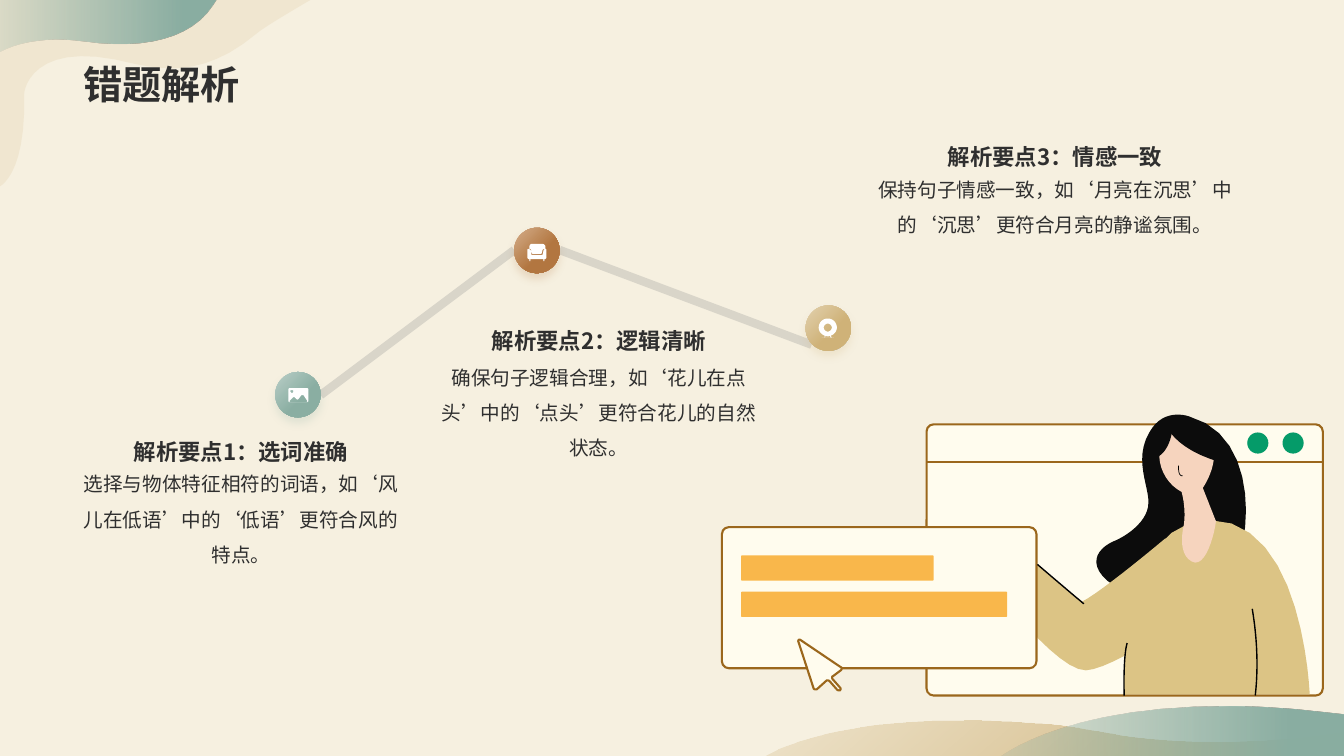
"""Build the slide on wrong-answer analysis: three linked points and an illustration."""
from lxml.etree import SubElement
from pptx import Presentation
from pptx.dml.color import RGBColor
from pptx.enum.shapes import MSO_CONNECTOR, MSO_SHAPE
from pptx.enum.text import MSO_ANCHOR, MSO_AUTO_SIZE, PP_ALIGN
from pptx.oxml.ns import qn
from pptx.util import Inches, Pt

COLORS = {
    "paper": "F6F0E0", "text": "2F2F2F", "white": "FFFFFF", "link": "979797",
    "sage": "8AAEA2", "sage light": "B9CEC7", "copper": "B27640", "copper light": "D4AD89",
    "sand": "CFB278", "sand light": "E2D1AE", "window": "FFFCEE", "frame": "9B671C",
    "button": "059B69", "hair": "0C0C0C", "sweater": "DCC485", "skin": "F6D4BE",
    "ink": "000000", "bar": "F9B74B",
}
FONT = "Noto Sans CJK SC"
COLUMNS, CURVE_STEPS = 1333, 12

presentation = Presentation()
presentation.slide_width, presentation.slide_height = Inches(13.33), Inches(7.5)
cell = presentation.slide_width // COLUMNS
slide = presentation.slides.add_slide(presentation.slide_layouts[6])
slide.background.fill.solid()
slide.background.fill.fore_color.rgb = RGBColor.from_string(COLORS["paper"])


def trace(*contours, closed=True):
    """Make a freeform; two-number steps are corners and six-number steps are curves."""
    builder = None
    for contour in contours:
        points = [contour[0]]
        for step in contour[1:]:
            if len(step) == 2:
                points.append(step)
                continue
            knots = [points[-1], step[:2], step[2:4], step[4:]]
            for t in (index / CURVE_STEPS for index in range(1, CURVE_STEPS + 1)):
                weights = ((1 - t) ** 3, 3 * t * (1 - t) ** 2, 3 * t * t * (1 - t), t ** 3)
                points.append(tuple(sum(w * knot[axis] for w, knot in zip(weights, knots))
                                    for axis in (0, 1)))
        (x, y), *rest = [(x * cell, y * cell) for x, y in points]
        if builder is None:
            builder = slide.shapes.build_freeform(x, y)
        else:
            builder.move_to(x, y)
        builder.add_line_segments(rest, close=closed)
    return builder.convert_to_shape()


def paint(shape, fill=None, line=None, weight=1, alpha=100, gradient=None):
    """Colour a shape; gradient holds the end colour, its position and the angle."""
    if gradient:
        end, position, angle = gradient
        shape.fill.gradient()
        shape.fill.gradient_angle = -angle % 360
        for stop, color, place in zip(shape.fill.gradient_stops, (fill, end), (0, position)):
            stop.color.rgb, stop.position = RGBColor.from_string(COLORS[color]), place
    elif fill:
        shape.fill.solid()
        shape.fill.fore_color.rgb = RGBColor.from_string(COLORS[fill])
    elif hasattr(shape, "fill"):
        shape.fill.background()
    if line:
        shape.line.color.rgb = RGBColor.from_string(COLORS[line])
        shape.line.width = Pt(weight)
    else:
        shape.line.fill.background()
    if alpha < 100:
        first_color = next(shape.element.iter(qn("a:srgbClr")))
        SubElement(first_color, qn("a:alpha"), val=str(alpha * 1000))
    return SubElement(shape.element.spPr, qn("a:effectLst"))


paint(trace([(956, 715), (989, 715, 1038, 717, 1070, 722), (1103, 727, 1179, 746, 1319, 728),
             (1333, 726), (1333, 750), (757, 750), (765, 745, 823, 714, 956, 715)]),
      "sand", alpha=20, gradient=("sand", 1, 50))
paint(trace([(1219, 701), (1247, 701, 1279, 703, 1313, 707), (1333, 709), (1333, 750),
             (993, 750), (1003, 743, 1068, 700, 1219, 701)]),
      "sage", alpha=20, gradient=("sage", 0.85, 0))
paint(trace([(-2, 186), (-2, 186, 26, 177, 24, 94), (24, 85, 36, 44, 114, 59),
             (157, 69, 199, 80, 255, 33), (263, 26, 308, 0, 308, 0), (0, 0)]),
      "sand", alpha=15)
paint(trace([(-1, 0), (215, 0), (211, 6), (190, 38, 143, 49, 85, 41),
             (42, 35, 14, 44, 1, 51), (-1, 52)]),
      "sage", alpha=20, gradient=("sage", 0.85, 0))

for ends in ((805, 342, 555, 248), (510, 248, 318, 392)):
    link = slide.shapes.add_connector(MSO_CONNECTOR.STRAIGHT, *[end * cell for end in ends])
    paint(link, line="link", weight=6, alpha=30)

image_icon = [
    [(287, 385), (305, 385), (306, 386), (306, 398), (305, 399), (287, 399), (286, 398), (286, 386)],
    [(300, 392), (299, 392), (296, 396), (295, 396.5), (294, 396), (292, 394), (291, 394),
     (287, 398), (288, 399), (304, 399), (305, 398), (301, 392)],
    [(290, 387), (289, 387, 288, 387, 288, 388), (288, 389, 289, 390, 290, 390),
     (290, 390, 291, 389, 291, 388), (291, 387, 290, 387, 290, 387)],
]
sofa_icon = [
    [(541, 247), (542, 247, 542, 248, 542, 249), (542, 256), (542, 256, 541, 257, 541, 257),
     (540, 257), (540, 259), (539, 259), (539, 257), (526, 257), (526, 259), (525, 259),
     (525, 257), (524, 257), (524, 257, 523, 256, 523, 256), (523, 249),
     (523, 248, 523, 247, 524, 247), (525, 247, 526, 248, 527, 249), (527, 253), (538, 253),
     (539, 249), (539, 248, 540, 247, 541, 247)],
    [(538, 242), (540, 242, 541, 244, 541, 245), (541, 247), (539, 247, 538, 247, 538, 249),
     (537, 252), (528, 252), (527, 249), (527, 247, 526, 247, 525, 247), (525, 245),
     (525, 244, 526, 242, 527, 242)],
]
camera_icon = [
    [(821, 316), (826, 316, 830, 320, 830, 325), (830, 329, 827, 332, 824, 333), (825, 335),
     (827, 335), (815, 335), (818, 335), (818, 333), (815, 332, 812, 329, 812, 325),
     (812, 320, 816, 316, 821, 316)],
    [(819, 333), (818, 335), (824, 335), (823, 333), (822, 334, 820, 334, 819, 333)],
    [(821, 321), (819, 321, 817, 323, 817, 325), (817, 327, 819, 329, 821, 329),
     (823, 329, 825, 327, 825, 325), (825, 323, 823, 321, 821, 321)],
]
markers = [(273, 369, "sage", image_icon), (510, 226, "copper", sofa_icon),
           (799, 303, "sand", camera_icon)]
for left, top, color, icon in markers:
    marker = slide.shapes.add_shape(MSO_SHAPE.OVAL, left * cell, top * cell, 45 * cell, 45 * cell)
    effects = paint(marker, color + " light", gradient=(color, 0.6, 45))
    shadow = SubElement(effects, qn("a:outerShdw"), blurRad=str(Pt(6)), dist=str(Pt(4)),
                        dir="5400000", algn="t", rotWithShape="0")
    shadow_color = SubElement(shadow, qn("a:srgbClr"), val=COLORS[color])
    SubElement(shadow_color, qn("a:alpha"), val="20000")
    paint(trace(*icon), "white")

window = slide.shapes.add_shape(MSO_SHAPE.ROUNDED_RECTANGLE, 919 * cell, 421 * cell, 393 * cell, 269 * cell)
window.adjustments[0] = 7 / 269
paint(window, "window", "frame", 1.5)
header = slide.shapes.add_connector(MSO_CONNECTOR.STRAIGHT, 919 * cell, 458 * cell, 1312 * cell, 458 * cell)
paint(header, line="frame", weight=1.5)
for left in (1237, 1272):
    paint(slide.shapes.add_shape(MSO_SHAPE.OVAL, left * cell, 429 * cell, 21 * cell, 21 * cell), "button")

hair = [(1179, 413), (1169, 410, 1151, 409, 1140, 429), (1124, 456, 1140, 483, 1139, 499),
        (1139, 515, 1122, 529, 1107, 536), (1091, 542, 1077, 557, 1098, 576),
        (1119, 596, 1203, 592, 1221, 569), (1240, 545, 1253, 433, 1179, 413)]
body = [(1115, 689), (1115, 689, 1108, 516, 1200, 516), (1293, 516, 1299, 689, 1299, 689)]
face = [(1172, 488), (1177, 507, 1174, 522, 1174, 522), (1174, 522, 1167, 549, 1182, 557),
        (1196, 565, 1205, 528, 1206, 517), (1193, 484), (1193, 484, 1209, 462, 1203, 439),
        (1198, 416, 1167, 408, 1155, 430), (1143, 453, 1153, 478, 1172, 488)]
fringe = [(1156, 420), (1156, 420, 1162, 445, 1212, 459), (1212, 459, 1218, 438, 1202, 426),
          (1187, 413, 1165, 413, 1156, 420)]
side_lock = [(1162, 431), (1162, 431, 1158, 454, 1142, 455), (1142, 455, 1158, 406, 1163, 419),
             (1164, 422, 1162, 431, 1162, 431)]
arm = [(1156, 534), (1156, 534, 1093, 587, 1073, 597), (1015, 549), (986, 583),
       (986, 583, 1049, 666, 1077, 665), (1104, 664, 1177, 612, 1177, 612)]
for part, color in ((hair, "hair"), (body, "sweater"), (face, "skin"), (fringe, "hair"),
                    (side_lock, "hair"), (arm, "sweater")):
    paint(trace(part), color)

panel = slide.shapes.add_shape(MSO_SHAPE.ROUNDED_RECTANGLE, 716 * cell, 523 * cell, 312 * cell, 140 * cell)
panel.adjustments[0] = 7 / 140
paint(panel, "window", "frame", 1.5)

strokes = [([(1242, 604), (1247, 634, 1248, 663, 1245, 690)], 1),
           ([(1029, 560), (1029, 560, 1057, 584, 1075, 599)], 1),
           ([(1169, 462), (1169, 462, 1168, 473, 1173, 472)], 0.5),
           ([(1118, 638), (1118, 638, 1114, 648, 1115, 690)], 1)]
for stroke, weight in strokes:
    paint(trace(stroke, closed=False), line="ink", weight=weight)

pointer = [(834, 662), (794, 635), (793, 634, 791, 635, 792, 637), (807, 683),
           (807, 684, 809, 684, 810, 684), (820, 675), (821, 675, 822, 675, 823, 676),
           (830, 684), (831, 685, 832, 685, 833, 685), (834, 684, 834, 683, 833, 682),
           (826, 674), (825, 673, 825, 671, 826, 671), (834, 665), (835, 664, 835, 662, 834, 662)]
paint(trace(pointer), "window", "frame", 1.5)
for top, width in ((587, 264), (551, 191)):
    bar = slide.shapes.add_shape(MSO_SHAPE.ROUNDED_RECTANGLE, 735 * cell, top * cell, width * cell, 25 * cell)
    bar.adjustments[0] = 1 / 25
    paint(bar, "bar")

title_format = {"size": Pt(28), "bold": True}
heading_format = {"size": Pt(16), "bold": True}
body_format = {"size": Pt(14), "bold": False}
texts = [("错题解析", (73, 0, 1187, 112), title_format, PP_ALIGN.LEFT, 0.9)]
points = [
    (71, 429, 23, 336, "解析要点1：选词准确", "选择与物体特征相符的词语，如‘风儿在低语’中的‘低语’更符合风的特点。"),
    (426, 319, 27, 336, "解析要点2：逻辑清晰", "确保句子逻辑合理，如‘花儿在点头’中的‘点头’更符合花儿的自然状态。"),
    (835, 137, 23, 423, "解析要点3：情感一致", "保持句子情感一致，如‘月亮在沉思’中的‘沉思’更符合月亮的静谧氛围。"),
]
for left, top, drop, width, heading, explanation in points:
    texts.append((heading, (left, top, width, 37), heading_format, PP_ALIGN.CENTER, 1.0))
    texts.append((explanation, (left, top + drop, width, 45), body_format, PP_ALIGN.CENTER, 1.5))
for words, box, font_format, alignment, spacing in texts:
    frame = slide.shapes.add_textbox(*[length * cell for length in box]).text_frame
    frame.word_wrap = True
    frame.vertical_anchor = MSO_ANCHOR.TOP if font_format is body_format else MSO_ANCHOR.BOTTOM
    frame.auto_size = MSO_AUTO_SIZE.NONE if font_format is title_format else MSO_AUTO_SIZE.SHAPE_TO_FIT_TEXT
    paragraph = frame.paragraphs[0]
    paragraph.alignment, paragraph.line_spacing = alignment, spacing
    run = paragraph.add_run()
    run.text = words
    run.font.color.rgb = RGBColor.from_string(COLORS["text"])
    for name, value in {"name": FONT, **font_format}.items():
        setattr(run.font, name, value)
    properties = run._r.get_or_add_rPr()
    properties.set("lang", "zh-CN")
    SubElement(properties, qn("a:ea"), typeface=FONT)

presentation.save("out.pptx")
